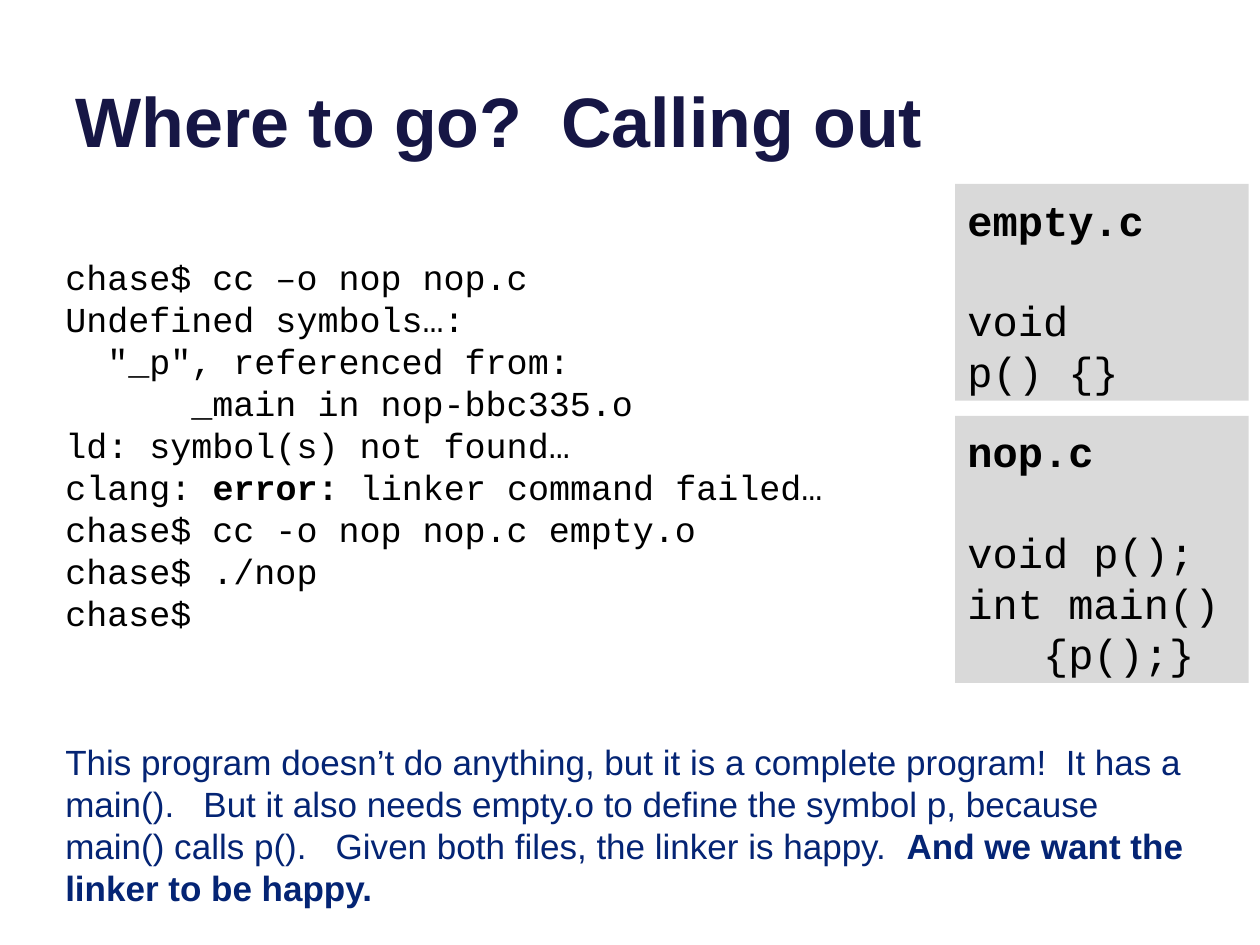
from pptx import Presentation
from pptx.dml.color import RGBColor
from pptx.enum.shapes import MSO_SHAPE as Shape
from pptx.enum.text import MSO_ANCHOR as Anchor, PP_ALIGN as Align
from pptx.util import Inches, Pt

NAVY = RGBColor(0x16, 0x16, 0x45)
BLUE = RGBColor(0x04, 0x24, 0x74)
BLACK = RGBColor(0, 0, 0)
GRAY = RGBColor(0xD9, 0xD9, 0xD9)
MONO, SANS = "Courier New", "Arial"


def write(frame, lines, font, size, color):
    """Write lines of (text, bold) runs with a line pitch of 1.2."""
    frame.word_wrap = True
    frame.vertical_anchor = Anchor.TOP
    frame.margin_top = Inches(0.08)
    for i, line in enumerate(lines):
        para = frame.add_paragraph() if i else frame.paragraphs[0]
        para.alignment = Align.LEFT
        para.line_spacing = Pt(size * 1.2)
        for text, bold in line:
            run = para.add_run()
            run.text = text
            style(run.font, font, size, color, bold)


def style(font, name, size, color, bold):
    font.name, font.size, font.bold = name, Pt(size), bold
    font.color.rgb = color


deck = Presentation()
deck.slide_width, deck.slide_height = Inches(10), Inches(7.5)
slide = deck.slides.add_slide(deck.slide_layouts[5])
shapes = slide.shapes

# Title
title = shapes.title
title.left, title.top = Inches(0.5), Inches(-0.37)
title.width, title.height = Inches(9), Inches(1.7)
title.text_frame.text = "Where to go?  Calling out"
title.text_frame.vertical_anchor = Anchor.BOTTOM
para = title.text_frame.paragraphs[0]
para.alignment = Align.LEFT
style(para.runs[0].font, SANS, 40, NAVY, True)

# Source files
files = [
    (1.46, 1.72, "empty.c", ["void", "p() {}"]),
    (3.3, 2.12, "nop.c", ["void p();", "int main()", "   {p();}"]),
]
for top, height, name, code in files:
    card = shapes.add_shape(Shape.RECTANGLE, Inches(7.58), Inches(top),
                            Inches(2.33), Inches(height))
    card.shadow.inherit = False
    card.fill.solid()
    card.fill.fore_color.rgb = GRAY
    card.line.fill.background()
    lines = [[(name, True)]] + [[(text, False)] for text in code]
    write(card.text_frame, lines, MONO, 24, BLACK)
    card.text_frame.paragraphs[0].space_after = Pt(28.8)

# Terminal session
session = [
    [("chase$ cc –o nop nop.c", False)],
    [("Undefined symbols…:", False)],
    [("  \"_p\", referenced from:", False)],
    [("      _main in nop-bbc335.o", False)],
    [("ld: symbol(s) not found…", False)],
    [("clang: ", False), ("error: ", True), ("linker command failed…", False)],
    [("chase$ cc -o nop nop.c empty.o", False)],
    [("chase$ ./nop", False)],
    [("chase$", False)],
]
box = shapes.add_textbox(Inches(0.42), Inches(1.95), Inches(6.5), Inches(3.13))
write(box.text_frame, session, MONO, 20, BLACK)

# Explanation
remark = [[
    ("This program doesn’t do anything, but it is a complete program!  "
     "It has a main().   But it also needs empty.o to define the symbol p, "
     "because main() calls p().   Given both files, the linker is happy.  ",
     False),
    ("And we want the linker to be happy.", True),
]]
box = shapes.add_textbox(Inches(0.42), Inches(5.8), Inches(9.16), Inches(1.45))
write(box.text_frame, remark, SANS, 20, BLUE)

deck.save("out.pptx")
